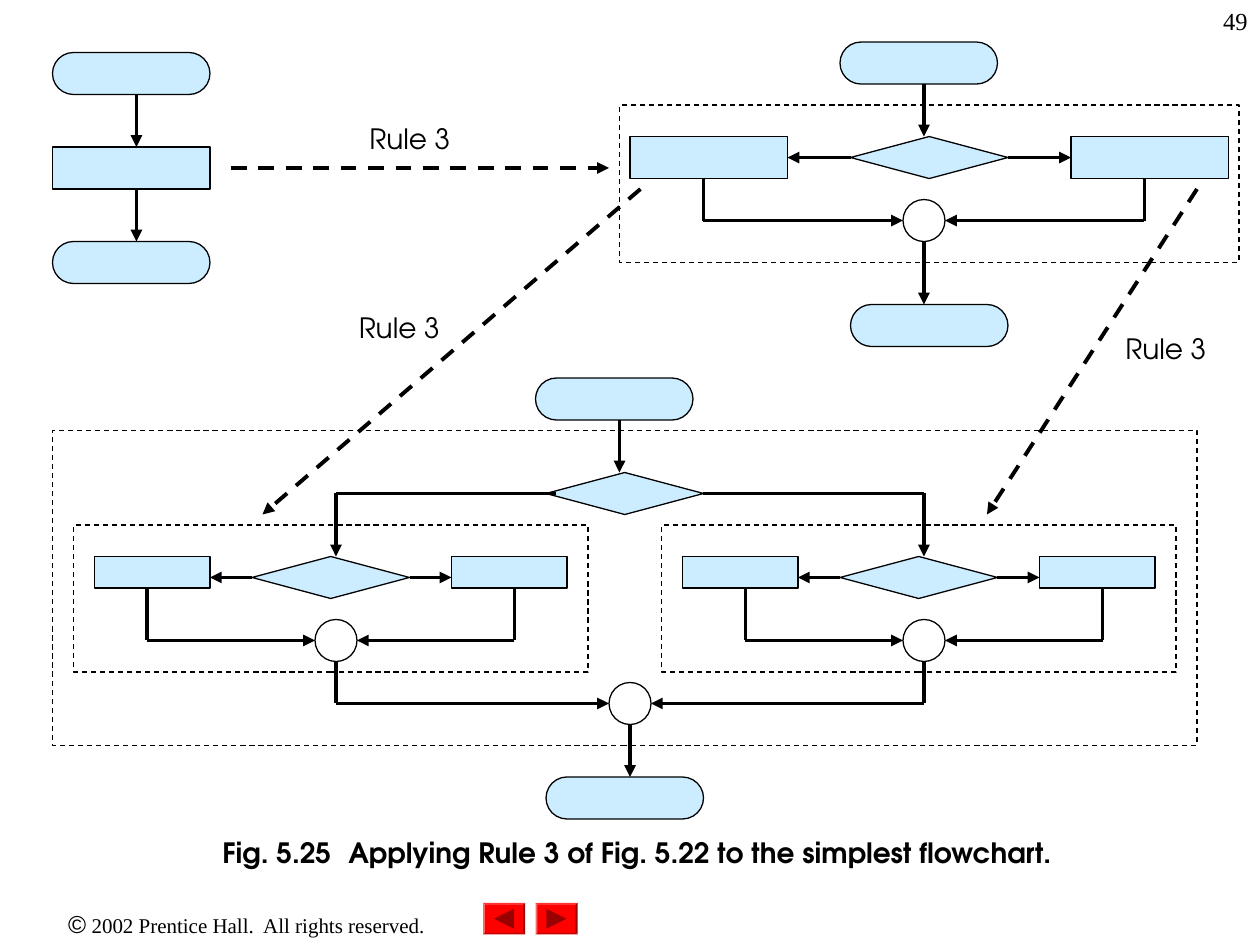
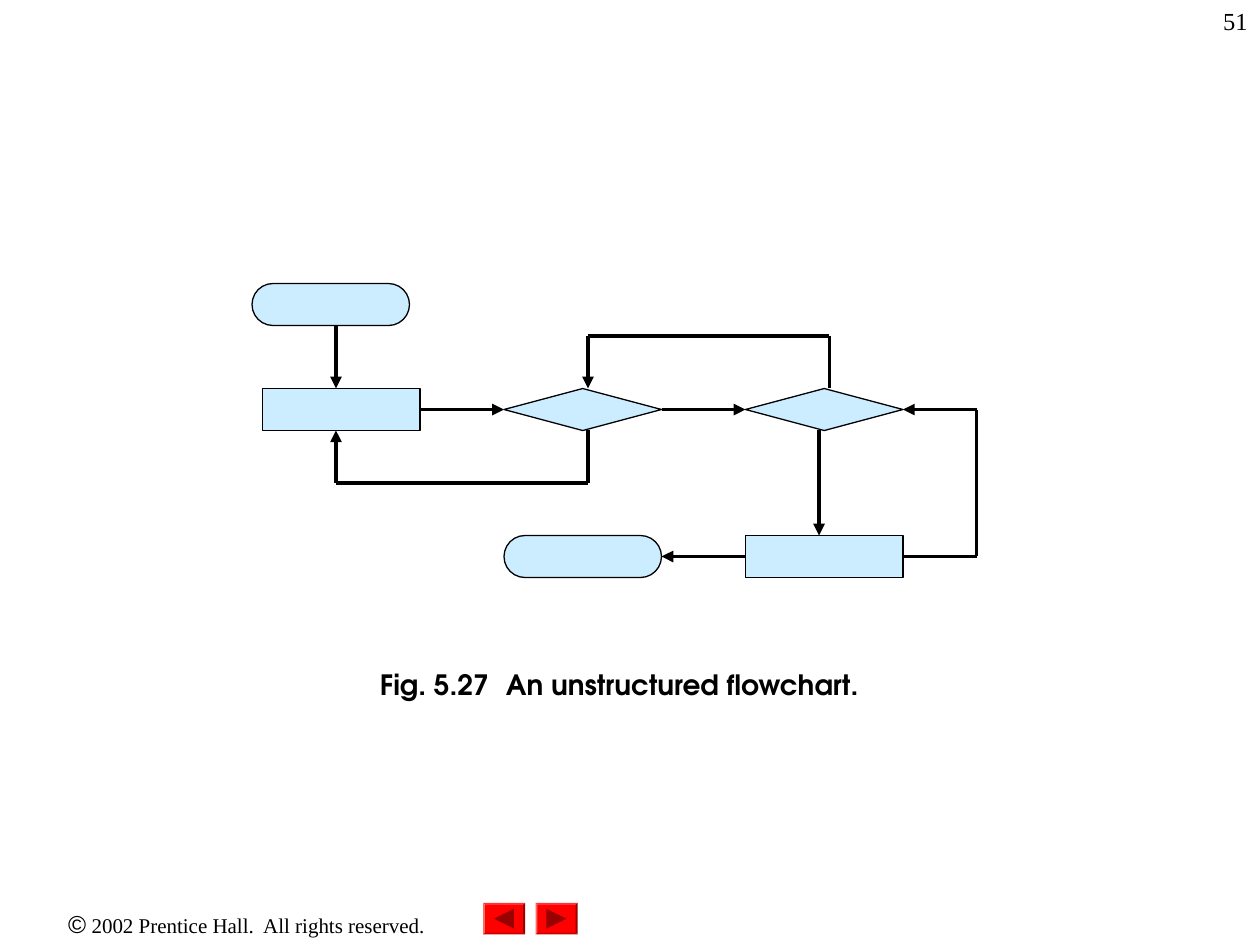
from itertools import pairwise

from lxml.etree import SubElement
from pptx import Presentation
from pptx.dml.color import RGBColor
from pptx.enum.dml import MSO_LINE
from pptx.enum.shapes import MSO_CONNECTOR, MSO_SHAPE as Preset
from pptx.enum.text import PP_ALIGN as Align
from pptx.oxml.ns import qn
from pptx.util import Cm, Pt

BLACK = RGBColor(0, 0, 0)
SKY = RGBColor(0xCC, 0xEC, 0xFF)
RED = RGBColor(0xFF, 0, 0)
DARK_RED = RGBColor(0x99, 0, 0)

LABEL_FONT = "TeX Gyre Adventor"
BODY_FONT = "Times New Roman"
GRID = Cm(2.54) // 12

NODE_KINDS = {
    "terminal": (Preset.ROUNDED_RECTANGLE, 15, 4, SKY),
    "step": (Preset.RECTANGLE, 15, 4, SKY),
    "small step": (Preset.RECTANGLE, 11, 3, SKY),
    "decision": (Preset.DIAMOND, 15, 4, SKY),
    "junction": (Preset.OVAL, 4, 4, None),
}

COPYRIGHT = [("©", "Arial", 14), (" 2002 Prentice Hall.  All rights reserved.", BODY_FONT, 12)]
BUTTONS = [(46, -1), (51, 1)]

RULE_3 = {
    "number": "49",
    "caption": ("Fig. 5.25\tApplying Rule 3 of Fig. 5.22 to the simplest flowchart.", 20, 79, 83),
    "nodes": [
        ("terminal", 5, 5), ("step", 5, 14), ("terminal", 5, 23),
        ("terminal", 80, 4), ("terminal", 81, 29),
        ("terminal", 51, 36), ("decision", 52, 45),
        ("junction", 58, 65), ("terminal", 52, 74),
    ],
    "selections": [
        {"frame": (59, 10, 59, 15), "kind": "step", "steps": (60, 102), "decision": 81,
         "top": 13, "drops": (67, 109), "junction": (86, 19)},
        {"frame": (7, 50, 49, 14), "kind": "small step", "steps": (9, 43), "decision": 24,
         "top": 53, "drops": (14, 49), "junction": (30, 59)},
        {"frame": (63, 50, 49, 14), "kind": "small step", "steps": (65, 99), "decision": 80,
         "top": 53, "drops": (71, 105), "junction": (86, 59)},
    ],
    "frames": [(5, 41, 109, 30)],
    "flows": [
        [(13, 9), (13, 14)], [(13, 18), (13, 23)],
        [(88, 8), (88, 13)], [(88, 23), (88, 29)],
        [(59, 40), (59, 45)], [(60, 69), (60, 74)],
        [(53, 47), (32, 47), (32, 53)], [(67, 47), (88, 47), (88, 53)],
        [(32, 63), (32, 67), (58, 67)], [(88, 63), (88, 67), (62, 67)],
    ],
    "rule_arrows": [[(22, 16), (58, 16)], [(61, 18), (25, 49)], [(114, 18), (94, 49)]],
    "rule_labels": [("Rule 3", 34, 11), ("Rule 3", 33, 29), ("Rule 3", 106, 31)],
}

UNSTRUCTURED = {
    "number": "51",
    "caption": ("Fig. 5.27\tAn unstructured flowchart.", 35, 63, 50),
    "nodes": [
        ("terminal", 24, 27), ("step", 25, 37), ("decision", 48, 37),
        ("decision", 71, 37), ("step", 71, 51), ("terminal", 48, 51),
    ],
    "flows": [
        [(32, 31), (32, 37)], [(40, 39), (48, 39)], [(63, 39), (71, 39)],
        [(78, 41), (78, 51)], [(71, 53), (63, 53)],
        [(56, 41), (56, 46), (32, 46), (32, 41)],
        [(79, 37), (79, 32), (56, 32), (56, 37)],
        [(86, 53), (93, 53), (93, 39), (86, 39)],
    ],
}


def on_grid(*lengths):
    return [round(length * GRID) for length in lengths]


def add_outline(slide, preset, box, fill=None):
    shape = slide.shapes.add_shape(preset, *on_grid(*box))
    shape.shadow.inherit = False
    if fill is None:
        shape.fill.background()
    else:
        shape.fill.solid()
        shape.fill.fore_color.rgb = fill
    shape.line.color.rgb = BLACK
    shape.line.width = Pt(0.75)
    return shape


def add_frame(slide, box):
    add_outline(slide, Preset.RECTANGLE, box).line.dash_style = MSO_LINE.DASH


def add_node(slide, joints, kind, x, y):
    preset, width, height, fill = NODE_KINDS[kind]
    node = add_outline(slide, preset, (x, y, width, height), fill)
    if kind == "terminal":
        node.adjustments[0] = 0.5
    if kind != "junction":
        mid_x, mid_y = x + width / 2, y + height / 2
        sides = [(mid_x, y), (x, mid_y), (mid_x, y + height), (x + width, mid_y)]
        joints.update({side: (node, site) for site, side in enumerate(sides)})


def add_flow(slide, joints, points, dashed=False):
    for start, end in pairwise(points):
        line = slide.shapes.add_connector(MSO_CONNECTOR.STRAIGHT, *on_grid(*start, *end))
        line.line.color.rgb = BLACK
        line.line.width = Pt(2.25)
        if dashed:
            line.line.dash_style = MSO_LINE.DASH
        properties = line._element.spPr
        if end == points[-1]:
            SubElement(properties.find(qn("a:ln")), qn("a:tailEnd"), type="triangle")
        SubElement(properties, qn("a:effectLst"))
        if start in joints:
            line.begin_connect(*joints[start])
        if end in joints:
            line.end_connect(*joints[end])


def add_selection(slide, joints, selection):
    kind, top = selection["kind"], selection["top"]
    left, right = selection["steps"]
    decision = selection["decision"]
    junction_x, junction_y = selection["junction"]
    _, width, height, _ = NODE_KINDS[kind]
    add_frame(slide, selection["frame"])
    for node in [(kind, left, top), (kind, right, top), ("decision", decision, top),
                 ("junction", junction_x, junction_y)]:
        add_node(slide, joints, *node)
    branch_y, merge_y = top + 2, junction_y + 2
    add_flow(slide, joints, [(decision, branch_y), (left + width, branch_y)])
    add_flow(slide, joints, [(decision + 15, branch_y), (right, branch_y)])
    for drop, merge_x in zip(selection["drops"], (junction_x, junction_x + 4)):
        add_flow(slide, joints, [(drop, top + height), (drop, merge_y), (merge_x, merge_y)])


def add_text(slide, box, runs, align=Align.LEFT, bold=False, tab=None):
    frame = slide.shapes.add_textbox(*on_grid(*box)).text_frame
    frame.word_wrap = True
    paragraph = frame.paragraphs[0]
    if tab:
        tabs = SubElement(paragraph._p.get_or_add_pPr(), qn("a:tabLst"))
        SubElement(tabs, qn("a:tab"), pos=str(tab), algn="l")
    paragraph.alignment = align
    paragraph.font.color.rgb = BLACK
    paragraph.font.bold = bold
    for text, font, size in runs:
        run = paragraph.add_run()
        run.text = text
        target = paragraph.font if len(runs) == 1 else run.font
        target.name, target.size = font, Pt(size)


def add_button(slide, x, direction):
    button = add_outline(slide, Preset.BEVEL, (x, 86, 4, 3), RED)
    button.adjustments[0] = 0.06
    button.line.fill.background()
    base, tip = x + 2 - 0.95 * direction, x + 2 + 0.95 * direction
    start, *others = [on_grid(*point) for point in [(base, 86.55), (tip, 87.5), (base, 88.45)]]
    builder = slide.shapes.build_freeform(*start)
    builder.add_line_segments(others)
    arrow = builder.convert_to_shape()
    arrow.shadow.inherit = False
    arrow.fill.solid()
    arrow.fill.fore_color.rgb = DARK_RED
    arrow.line.fill.background()


def add_figure(deck, figure):
    slide = deck.slides.add_slide(deck.slide_layouts[6])
    joints = {}
    add_text(slide, (0, 86, 47, 4), COPYRIGHT, Align.CENTER)
    for button in BUTTONS:
        add_button(slide, *button)
    caption, x, y, width = figure["caption"]
    add_text(slide, (x, y, width, 4.4), [(caption, LABEL_FONT, 16)], bold=True, tab=Cm(2.54))
    for frame in figure.get("frames", []):
        add_frame(slide, frame)
    for node in figure["nodes"]:
        add_node(slide, joints, *node)
    for selection in figure.get("selections", []):
        add_selection(slide, joints, selection)
    for points in figure["flows"]:
        add_flow(slide, joints, points)
    for points in figure.get("rule_arrows", []):
        add_flow(slide, joints, points, dashed=True)
    for label, x, y in figure.get("rule_labels", []):
        add_text(slide, (x, y, 11, 4.4), [(label, LABEL_FONT, 16)])
    add_text(slide, (95, 0, 25, 6), [(figure["number"], BODY_FONT, 14)], Align.RIGHT)


def main():
    deck = Presentation()
    deck.slide_width, deck.slide_height = Cm(25.4), Cm(19.05)
    for figure in (RULE_3, UNSTRUCTURED):
        add_figure(deck, figure)
    deck.save("out.pptx")


if __name__ == "__main__":
    main()
